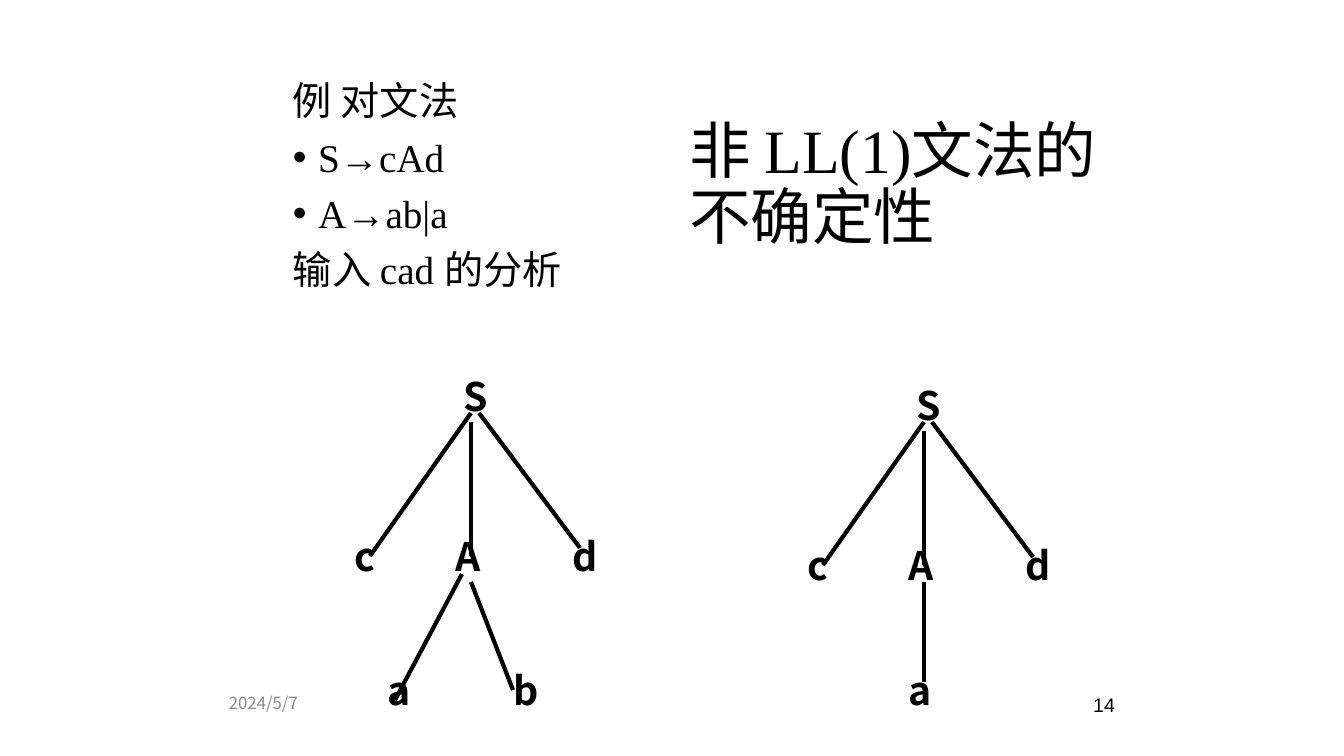
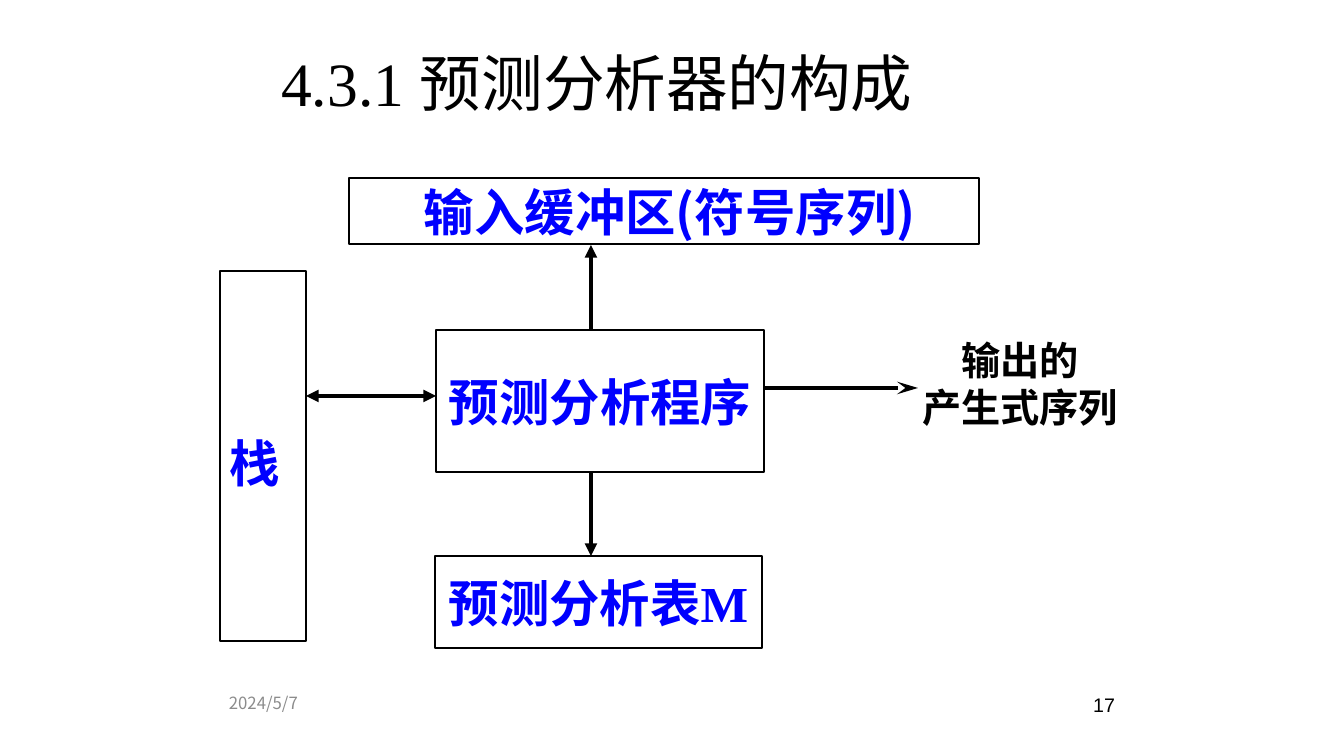
from lxml import etree
from pptx import Presentation, util as u
from pptx.dml.color import RGBColor
from pptx.enum import shapes, text
from pptx.oxml.ns import qn

EMU_PER_PX = 914400 / 100.8
COLORS = {"ink": "000000", "label": "0000FF", "muted": "8C8C8C"}
SANS, SERIF, NUMBER = "Noto Sans CJK SC", "Times New Roman", "Arial"
LEFT, CENTER, RIGHT = text.PP_ALIGN.LEFT, text.PP_ALIGN.CENTER, text.PP_ALIGN.RIGHT
TOP, MIDDLE = text.MSO_ANCHOR.TOP, text.MSO_ANCHOR.MIDDLE


def px(*lengths):
    return [u.Emu(round(length * EMU_PER_PX)) for length in lengths]


class SlideMaker:
    """Holds the shared style and the slide being filled."""

    def __init__(self):
        self.deck = Presentation()
        self.deck.slide_width, self.deck.slide_height = px(1344, 756)
        self.page = None

    def new_page(self, title, at, number):
        self.page = self.deck.slides.add_slide(self.deck.slide_layouts[5])
        box = self.page.shapes.title
        box.left, box.top, box.width, box.height = px(*at)
        self.fill_text(box, [[(title, SERIF)]], 44, anchor=MIDDLE, spacing=0.9)
        # Date and page number
        self.label("2024/5/7", (219, 688, 235, 52), 12, color="muted")
        self.label(str(number), (890, 688, 235, 52), 14, NUMBER, align=RIGHT)

    def fill_text(self, box, paras, size, color="ink", bold=False, align=LEFT,
                  anchor=TOP, spacing=1.0, before=0, wrap=True):
        """Fill a box; each paragraph is a list of (words, font) runs."""
        frame = box.text_frame
        frame.auto_size = text.MSO_AUTO_SIZE.NONE
        frame.word_wrap = wrap
        frame.vertical_anchor = anchor
        for index, runs in enumerate(paras):
            para = frame.paragraphs[0] if index == 0 else frame.add_paragraph()
            para.alignment = align
            para.line_spacing = spacing
            para.space_before = u.Pt(before)
            for words, font in runs:
                span = para.add_run()
                span.text = words
                span.font.name = font
                span.font.size = u.Pt(size)
                span.font.bold = bold
                span.font.color.rgb = RGBColor.from_string(COLORS[color])
                east_asian = etree.SubElement(span.font._element, qn("a:ea"))
                east_asian.set("typeface", SANS)
        return frame

    def label(self, words, at, size, font=SANS, **style):
        box = self.page.shapes.add_textbox(*px(*at))
        paras = [[(line, font)] for line in words.split("\n")]
        return self.fill_text(box, paras, size, **style)

    def bullet_list(self, lines, at):
        """Lines are (words, has_bullet) pairs with a hanging indent."""
        words = "\n".join(line for line, _ in lines)
        frame = self.label(words, at, 28, SERIF, spacing=0.9, before=10)
        for para, (_, has_bullet) in zip(frame.paragraphs, lines):
            props = para._p.get_or_add_pPr()
            props.set("marL", "228600")
            props.set("indent", "-228600")
            if has_bullet:
                etree.SubElement(props, qn("a:buFont")).set("typeface", NUMBER)
                etree.SubElement(props, qn("a:buChar")).set("char", "•")
            else:
                etree.SubElement(props, qn("a:buNone"))

    def block(self, runs, at, **style):
        box = self.page.shapes.add_shape(shapes.MSO_SHAPE.RECTANGLE, *px(*at))
        box.shadow.inherit = False
        box.fill.background()
        box.line.color.rgb = RGBColor.from_string(COLORS["ink"])
        box.line.width = u.Pt(1)
        style = {"align": CENTER, **style}
        self.fill_text(box, [runs], 36, "label", True, anchor=MIDDLE,
                       wrap=False, **style)

    def line(self, x1, y1, x2, y2, head=None, tail=None, length="med"):
        link = self.page.shapes.add_connector(
            shapes.MSO_CONNECTOR.STRAIGHT, *px(x1, y1, x2, y2))
        link.line.color.rgb = RGBColor.from_string(COLORS["ink"])
        link.line.width = u.Pt(3)
        outline = link._element.spPr.find(qn("a:ln"))
        for end, kind in (("a:headEnd", head), ("a:tailEnd", tail)):
            if kind:
                arrow = etree.SubElement(outline, qn(end))
                arrow.set("type", kind)
                arrow.set("len", length)
        etree.SubElement(link._element.spPr, qn("a:effectLst"))

    def node(self, letter, x, y):
        self.label(letter, (x, y, 84, 56), 28, bold=True, spacing=1.1)

    def tree(self, x, y, leaves, branches):
        """Root S at (x, y) over c, A, d; leaves of A are placed absolutely."""
        for letter, dx, dy in (("S", 0, 0), ("c", -109, 160),
                               ("A", -8, 160), ("d", 109, 160)):
            self.node(letter, x + dx, y + dy)
        for leaf in leaves:
            self.node(*leaf)
        for x1, y1, x2, y2 in ((17, 50, -84, 193), (17, 59, 17, 193),
                               (25, 50, 126, 185)):
            self.line(x + x1, y + y1, x + x2, y + y2)
        for branch in branches:
            self.line(*branch)


def main():
    maker = SlideMaker()

    # Grammar and its two parse trees
    maker.new_page("非 LL(1)文法的不确定性", (679, 111, 429, 151), 14)
    maker.bullet_list([("例 对文法", False), ("S→cAd", True),
                       ("A→ab|a", True), ("输入 cad 的分析", False)],
                      (283, 77, 386, 260))
    maker.tree(454, 363, [("a", 378, 657), ("b", 504, 657)],
               [(462, 574, 395, 700), (471, 582, 513, 690)])
    maker.tree(907, 372, [("a", 899, 657)], [(924, 582, 924, 682)])

    # Parts of the predictive parser
    maker.new_page("4.3.1 预测分析器的构成", (271, 33, 740, 107), 17)
    maker.block([(" 输入缓冲区(符号序列)", SANS)], (349, 178, 630, 66))
    maker.block([("栈", SANS)], (220, 271, 86, 370), align=LEFT, spacing=1.2)
    maker.block([("预测分析程序", SERIF)], (436, 330, 328, 142))
    maker.block([("预测分析表", SANS), ("M", SERIF)], (435, 556, 327, 92))
    maker.label("输出的\n产生式序列", (898, 331, 244, 105), 28,
                bold=True, align=CENTER)

    # Arrows around the program
    maker.line(591, 329, 591, 245, tail="triangle")
    maker.line(591, 472, 591, 556, tail="triangle")
    maker.line(436, 396, 306, 396, head="triangle", tail="triangle")
    maker.line(764, 388, 918, 388, tail="stealth", length="lg")

    maker.deck.save("out.pptx")


if __name__ == "__main__":
    main()
